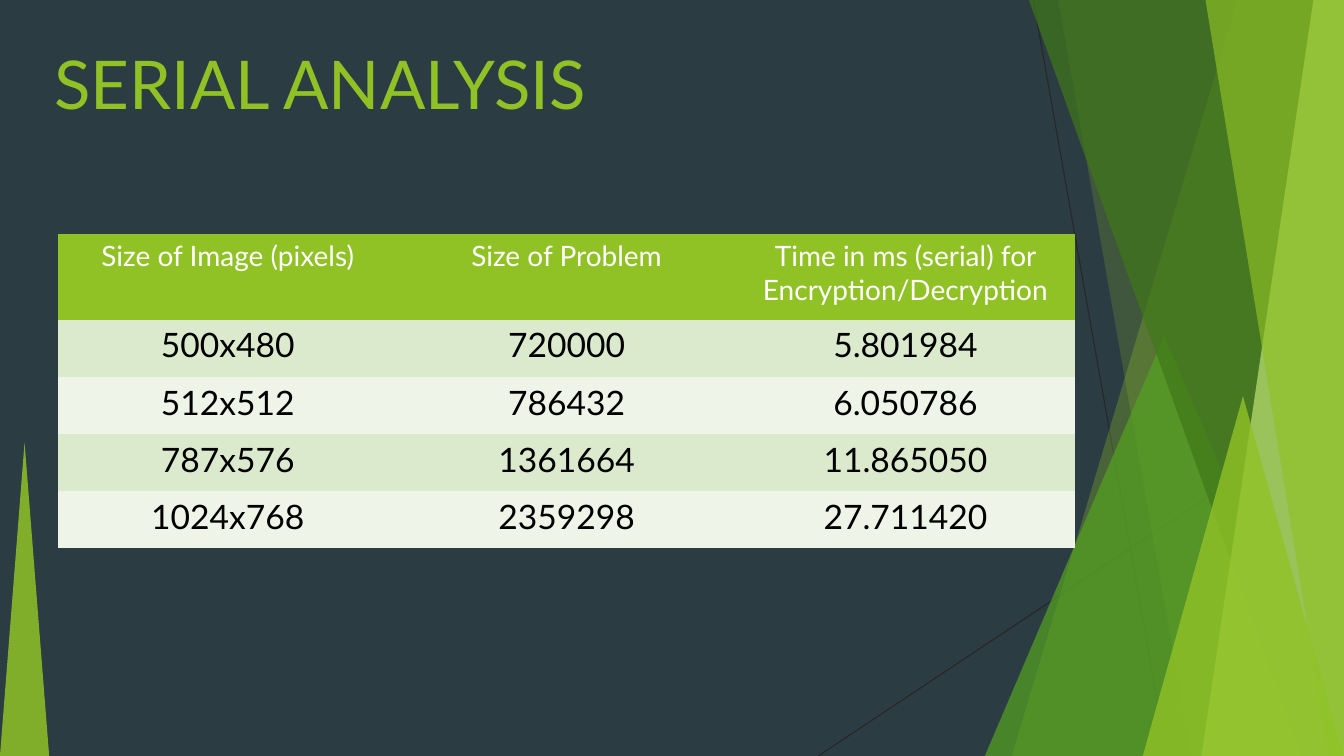
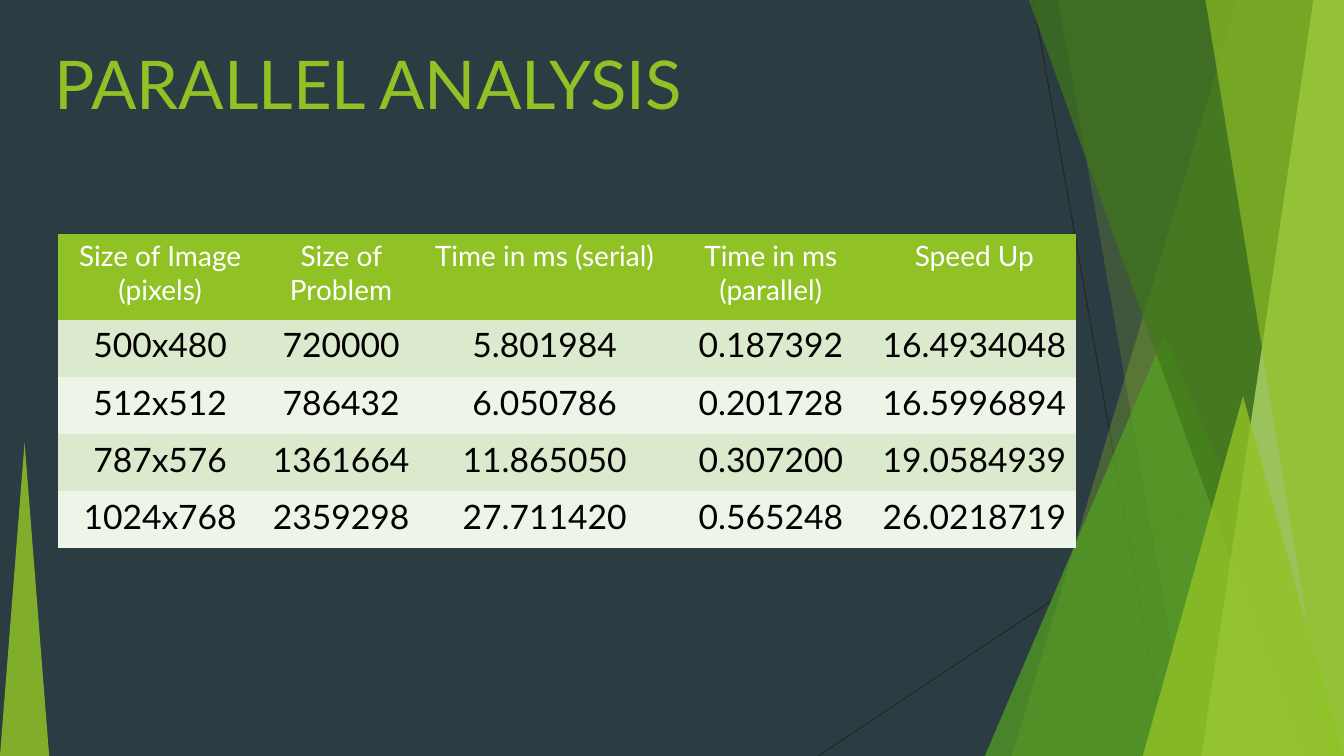
"""Build two slides that compare serial and parallel encryption times."""
from dataclasses import dataclass

from lxml.etree import SubElement
from pptx import Presentation
from pptx.dml.color import RGBColor
from pptx.enum.shapes import MSO_CONNECTOR as Connector, MSO_SHAPE as Preset
from pptx.enum.text import MSO_ANCHOR as Anchor, PP_ALIGN as Align
from pptx.oxml.ns import qn
from pptx.util import Cm, Pt

SERIAL_ROWS = [
    ("500x480", "720000", "5.801984"),
    ("512x512", "786432", "6.050786"),
    ("787x576", "1361664", "11.865050"),
    ("1024x768", "2359298", "27.711420"),
]
PARALLEL_RESULTS = [
    ("0.187392", "16.4934048"),
    ("0.201728", "16.5996894"),
    ("0.307200", "19.0584939"),
    ("0.565248", "26.0218719"),
]
SLIDES = [
    {
        "title": "SERIAL ANALYSIS",
        "header": ("Size of Image (pixels)", "Size of Problem",
                   "Time in ms (serial) for Encryption/Decryption"),
        "rows": SERIAL_ROWS,
        "widths": [8.54] * 3,
    },
    {
        "title": "PARALLEL ANALYSIS",
        "header": ("Size of Image (pixels)", "Size of Problem", "Time in ms (serial)",
                   "Time in ms (parallel)", "Speed Up"),
        "rows": [serial + result for serial, result in zip(SERIAL_ROWS, PARALLEL_RESULTS)],
        "widths": [5.13, 3.99, 6.27, 5.13, 5.13],
    },
]


@dataclass(frozen=True)
class Theme:
    font: str = "Lato"
    background: str = "2C3C43"
    accent: str = "90C226"
    leaf: str = "54A021"
    forest: str = "3F7819"
    lime: str = "C0E474"
    hairline: str = "262626"
    white: str = "FFFFFF"
    black: str = "000000"
    stripes: tuple = ("DBE9CC", "EEF4E7")
    title_size: int = 48
    header_size: int = 20
    body_size: int = 24


THEME = Theme()
WIDTH, HEIGHT = 33.87, 19.05
TITLE_BOX = (1.12, 0.94, 23.88, 2.67)
TABLE_LEFT, TABLE_TOP = 1.47, 5.89
HEADER_HEIGHT, ROW_HEIGHT = 2.17, 1.44
NO_TABLE_STYLE = "{2D5ABB26-0587-4C30-8999-92F81FD0307C}"

HAIRLINES = [(26.04, 0, 29.41, HEIGHT), (WIDTH, 10.24, 20.62, HEIGHT)]
FACETS = [
    ("band", (31.19, 25.5), THEME.accent, 30),
    ("band", (26.67, 30.02), THEME.accent, 20),
    ("peak", (24.82, 8.46, 9.04), THEME.leaf, 72),
    ("band", (25.93, 32.79), THEME.forest, 70),
    ("band", (33.1, 30.28), THEME.lime, 70),
    ("band", (30.38, 33.48), THEME.accent, 65),
    ("peak", (28.8, 9.98, 5.05), THEME.accent, 80),
    ("peak", (0, 11.15, 1.24), THEME.accent, 85),
]


def paint(fill, color):
    fill.solid()
    fill.fore_color.rgb = RGBColor.from_string(color)


def write(frame, text, size, color, align):
    para = frame.paragraphs[0]
    para.alignment = align
    span = para.add_run()
    span.text = text
    formats = {"name": THEME.font, "size": Pt(size), "bold": False}
    for name, value in formats.items():
        setattr(span.font, name, value)
    span.font.color.rgb = RGBColor.from_string(color)


def draw_hairline(page, ends):
    line = page.shapes.add_connector(Connector.STRAIGHT, *map(Cm, ends))
    line.line.width = Pt(0.75)
    line.line.color.rgb = RGBColor.from_string(THEME.hairline)
    SubElement(line.element.spPr, qn("a:effectLst"))
    return line


def draw_band(page, top_left, bottom_left):
    builder = page.shapes.build_freeform(Cm(top_left), 0)
    corners = [(WIDTH, 0), (WIDTH, HEIGHT), (bottom_left, HEIGHT)]
    builder.add_line_segments([(Cm(x), Cm(y)) for x, y in corners], close=True)
    return builder.convert_to_shape()


def draw_peak(page, left, top, width):
    place = map(Cm, (left, top, width, HEIGHT - top))
    return page.shapes.add_shape(Preset.ISOSCELES_TRIANGLE, *place)


def draw_facet(page, kind, geometry, color, opacity):
    draw = {"band": draw_band, "peak": draw_peak}[kind]
    facet = draw(page, *geometry)
    facet.shadow.inherit = False
    facet.line.fill.background()
    paint(facet.fill, color)
    tint = facet.element.spPr.find(f"{qn('a:solidFill')}/{qn('a:srgbClr')}")
    SubElement(tint, qn("a:alpha"), val=str(opacity * 1000))
    return facet


def decorate(layout, page):
    paint(layout.background.fill, THEME.background)
    for holder in list(layout.placeholders):
        holder.element.getparent().remove(holder.element)
    backdrop = [draw_hairline(page, ends) for ends in HAIRLINES]
    backdrop += [draw_facet(page, *facet) for facet in FACETS]
    for shape in backdrop:
        layout.shapes.element.append(shape.element)


def add_title(page, text):
    box = page.shapes.add_textbox(*map(Cm, TITLE_BOX))
    box.text_frame.word_wrap = True
    write(box.text_frame, text, THEME.title_size, THEME.accent, Align.LEFT)


def add_results(page, header, rows, widths):
    height = HEADER_HEIGHT + ROW_HEIGHT * len(rows)
    place = map(Cm, (TABLE_LEFT, TABLE_TOP, sum(widths), height))
    frame = page.shapes.add_table(len(rows) + 1, len(widths), *place)
    frame.element.find(f".//{qn('a:tableStyleId')}").text = NO_TABLE_STYLE
    table = frame.table
    table.horz_banding = False
    for column, width in zip(table.columns, widths):
        column.width = Cm(width)
    for index, values in enumerate([header, *rows]):
        is_header = index == 0
        table.rows[index].height = Cm(HEADER_HEIGHT if is_header else ROW_HEIGHT)
        fill = THEME.accent if is_header else THEME.stripes[(index - 1) % 2]
        size = THEME.header_size if is_header else THEME.body_size
        color = THEME.white if is_header else THEME.black
        for cell, value in zip(table.rows[index].cells, values):
            paint(cell.fill, fill)
            cell.vertical_anchor = Anchor.TOP
            write(cell.text_frame, value, size, color, Align.CENTER)


def main():
    deck = Presentation()
    deck.slide_width, deck.slide_height = Cm(WIDTH), Cm(HEIGHT)
    blank = deck.slide_layouts[6]
    pages = [deck.slides.add_slide(blank) for _ in SLIDES]
    decorate(blank, pages[0])
    for page, content in zip(pages, SLIDES):
        add_title(page, content["title"])
        add_results(page, content["header"], content["rows"], content["widths"])
    deck.save("out.pptx")


if __name__ == "__main__":
    main()
